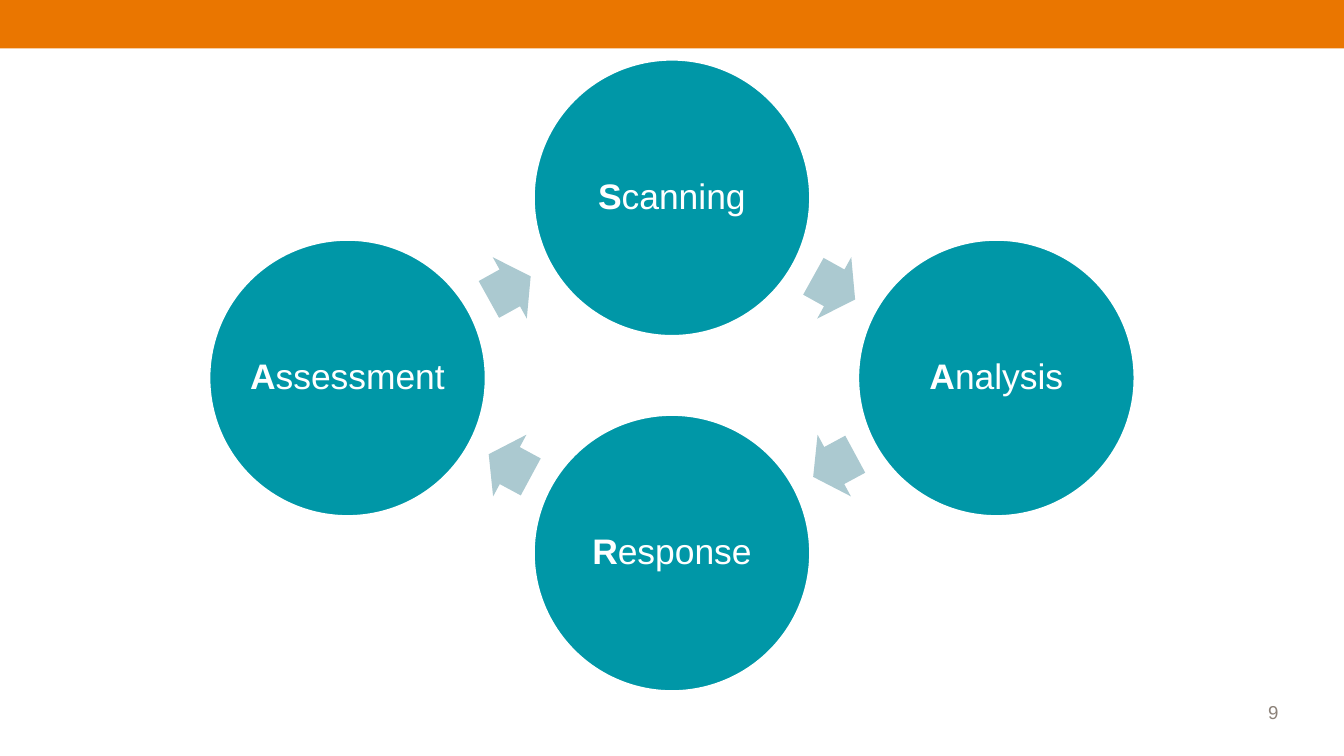
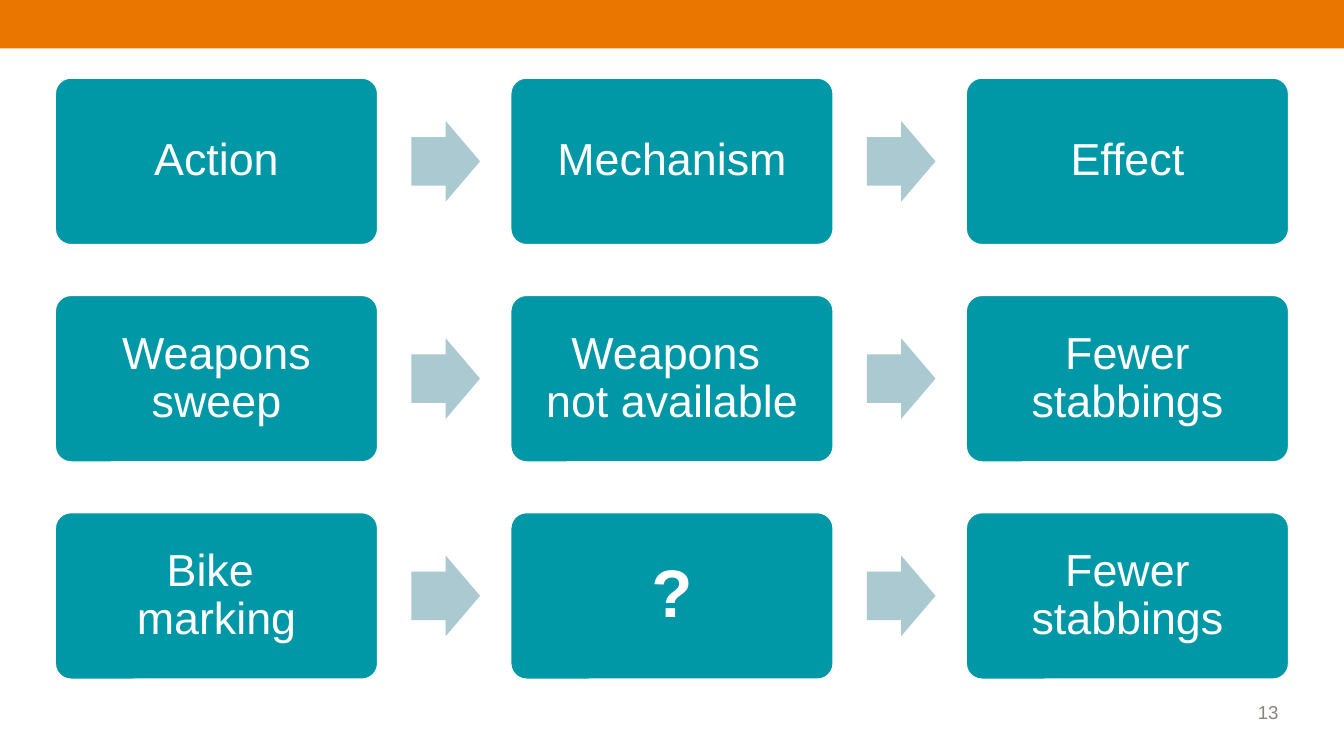
from dataclasses import dataclass
from itertools import pairwise
from math import atan2, degrees
from typing import Any

from pptx import Presentation
from pptx import util as u
from pptx.dml.color import RGBColor
from pptx.enum import shapes, text

ORANGE, TEAL, MIST, GREY, WHITE = "EA7600", "0097A7", "ABC9D0", "8C8279", "FFFFFF"
FONT = "Arial"
WIDTH, HEIGHT = 720, 405
CIRCLE_SIZE = 149
CARD_WIDTH, CARD_HEIGHT = 174, 90.5
CARD_LEFT, CARD_TOP = 29, 41.2
COLUMN_STEP, ROW_STEP = 244, 116.4
ARROW_OFFSET = 209.8


@dataclass(frozen=True)
class Span:
    words: str
    size: float
    bold: bool = False


@dataclass(frozen=True)
class Node:
    kind: Any
    x: float
    y: float
    width: float
    height: float
    inset: float
    spans: tuple[Span, ...]
    adjustments: tuple[float, ...] = ()


@dataclass(frozen=True)
class Arrow:
    x: float
    y: float
    width: float
    height: float
    angle: float = 0


def colour(value: str) -> RGBColor:
    return RGBColor.from_string(value)


def apply(target: Any, values: dict[str, Any]) -> None:
    for name, value in values.items():
        setattr(target, name, value)


def add_centred(page: Any, kind: Any, x: float, y: float, width: float, height: float,
                fill: str, adjustments: tuple[float, ...] = ()) -> Any:
    shape = page.shapes.add_shape(
        kind, u.Pt(x - width / 2), u.Pt(y - height / 2), u.Pt(width), u.Pt(height))
    shape.shadow.inherit = False
    shape.fill.solid()
    shape.fill.fore_color.rgb = colour(fill)
    shape.line.fill.background()
    for index, value in enumerate(adjustments):
        shape.adjustments[index] = value
    return shape


def write(para: Any, span: Span, ink: str) -> None:
    for index, line in enumerate(span.words.split("\n")):
        if index:
            para.add_line_break()
        run = para.add_run()
        run.text = line
        apply(run.font, {"name": FONT, "size": u.Pt(span.size), "bold": span.bold})
        run.font.color.rgb = colour(ink)


def draw_node(page: Any, node: Node) -> None:
    shape = add_centred(page, node.kind, node.x, node.y, node.width, node.height,
                        TEAL, node.adjustments)
    shape.line.color.rgb = colour(WHITE)
    shape.line.width = u.Pt(2)
    frame = shape.text_frame
    margins = ("margin_left", "margin_top", "margin_right", "margin_bottom")
    apply(frame, dict.fromkeys(margins, u.Pt(node.inset)))
    apply(frame, {"word_wrap": True, "vertical_anchor": text.MSO_ANCHOR.MIDDLE})
    para = frame.paragraphs[0]
    apply(para, {"alignment": text.PP_ALIGN.CENTER, "line_spacing": 0.9})
    for span in node.spans:
        write(para, span, WHITE)


def draw_arrow(page: Any, arrow: Arrow) -> None:
    shape = add_centred(page, shapes.MSO_SHAPE.RIGHT_ARROW, arrow.x, arrow.y,
                        arrow.width, arrow.height, MIST, (0.6, 0.5))
    shape.rotation = arrow.angle


def add_page(deck: Any, number: int) -> Any:
    page = deck.slides.add_slide(deck.slide_layouts[6])
    add_centred(page, shapes.MSO_SHAPE.RECTANGLE, WIDTH / 2, 13, WIDTH, 26, ORANGE)
    box = page.shapes.add_textbox(u.Pt(635), u.Pt(359.5), u.Pt(57), u.Pt(31.5))
    apply(box.text_frame, {"word_wrap": True, "vertical_anchor": text.MSO_ANCHOR.BOTTOM})
    para = box.text_frame.paragraphs[0]
    para.alignment = text.PP_ALIGN.RIGHT
    write(para, Span(str(number), 10), GREY)
    return page


def build_cycle(deck: Any) -> None:
    page = add_page(deck, 9)
    stages = (("Scanning", 360, 106), ("Analysis", 533.8, 202.5),
              ("Response", 360, 296.3), ("Assessment", 186.2, 202.5))
    nodes = [
        Node(shapes.MSO_SHAPE.OVAL, x, y, CIRCLE_SIZE, CIRCLE_SIZE, 0,
             (Span(name[0], 19, True), Span(name[1:], 19)))
        for name, x, y in stages
    ]
    for start, end in pairwise(nodes + nodes[:1]):
        draw_node(page, start)
        angle = degrees(atan2(end.y - start.y, end.x - start.x))
        draw_arrow(page, Arrow((start.x + end.x) / 2, (start.y + end.y) / 2,
                               25.6, 37.6, angle))


def build_mechanisms(deck: Any) -> None:
    page = add_page(deck, 13)
    rows = (("Action", "Mechanism", "Effect"),
            ("Weapons sweep", "Weapons \nnot available", "Fewer stabbings"),
            ("Bike \nmarking", "?", "Fewer stabbings"))
    for row, labels in enumerate(rows):
        y = CARD_TOP + row * ROW_STEP + CARD_HEIGHT / 2
        for column, label in enumerate(labels):
            left = CARD_LEFT + column * COLUMN_STEP
            unknown = label == "?"
            span = Span(label, 36 if unknown else 24, unknown)
            draw_node(page, Node(shapes.MSO_SHAPE.ROUNDED_RECTANGLE, left + CARD_WIDTH / 2, y,
                                 CARD_WIDTH, CARD_HEIGHT, 10.8 if unknown else 7.2,
                                 (span,), (0.1,)))
            if column < len(labels) - 1:
                draw_arrow(page, Arrow(left + ARROW_OFFSET, y, 36.8, 43.2))


def main() -> None:
    deck = Presentation()
    apply(deck, {"slide_width": u.Pt(WIDTH), "slide_height": u.Pt(HEIGHT)})
    build_cycle(deck)
    build_mechanisms(deck)
    deck.save("out.pptx")


if __name__ == "__main__":
    main()
